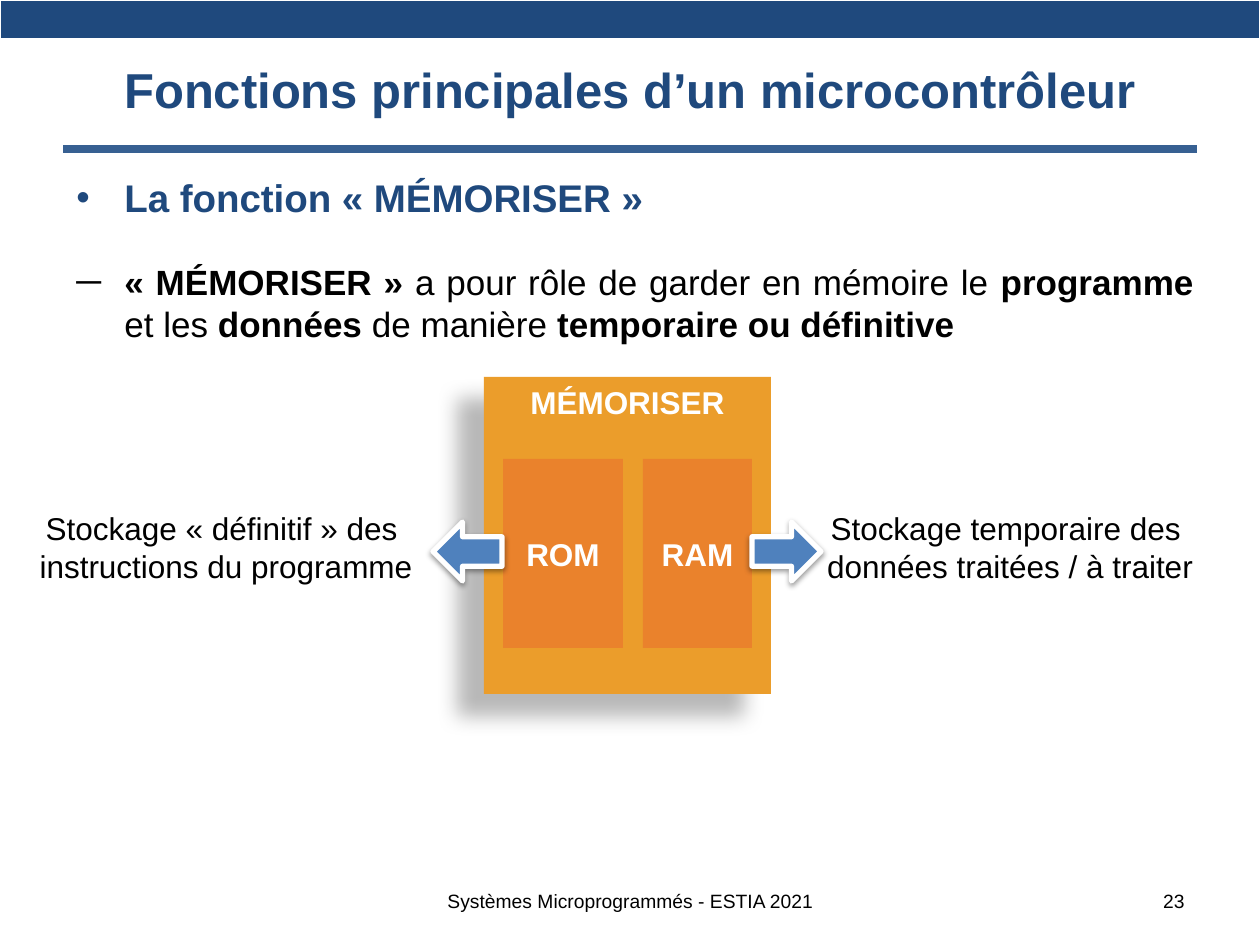
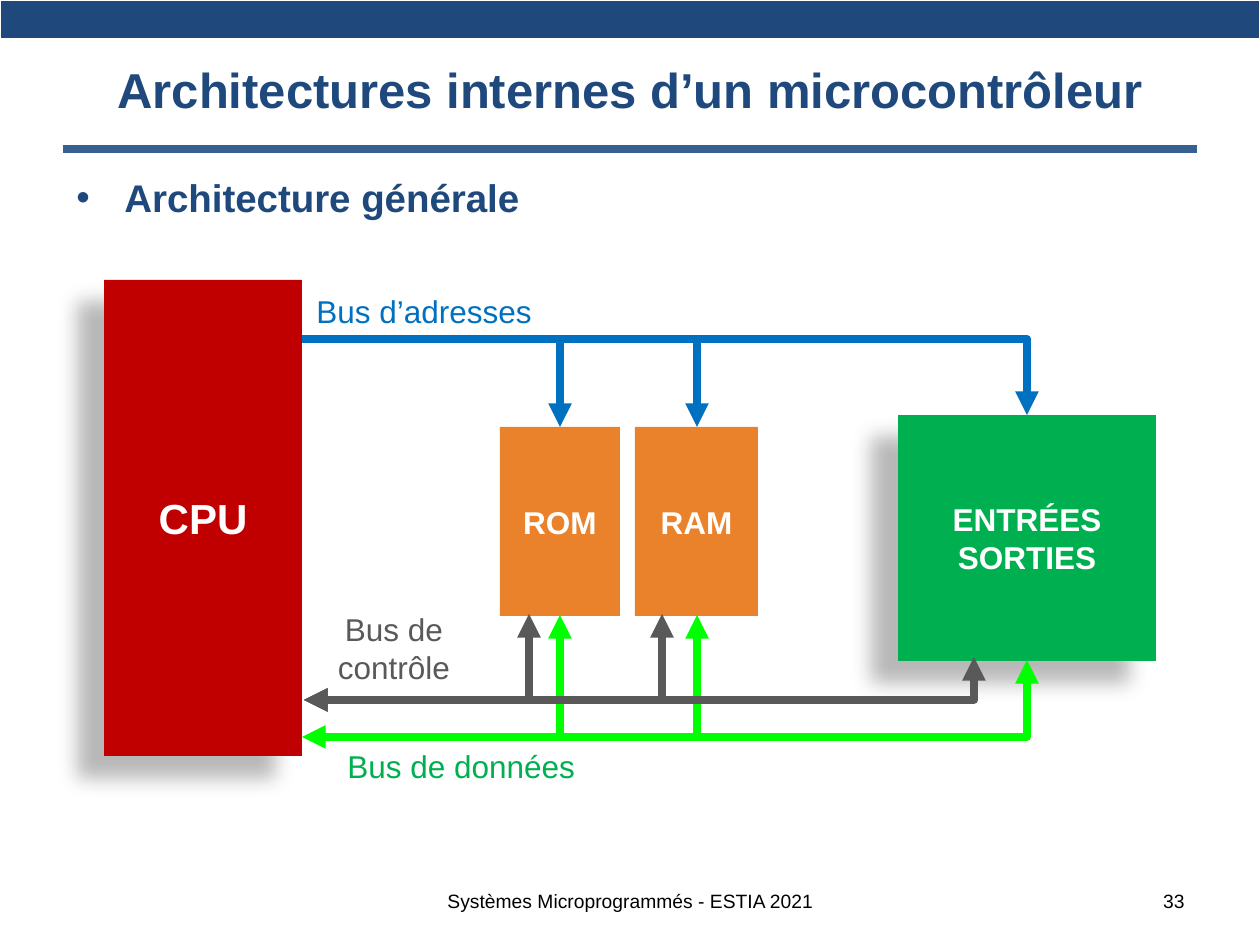
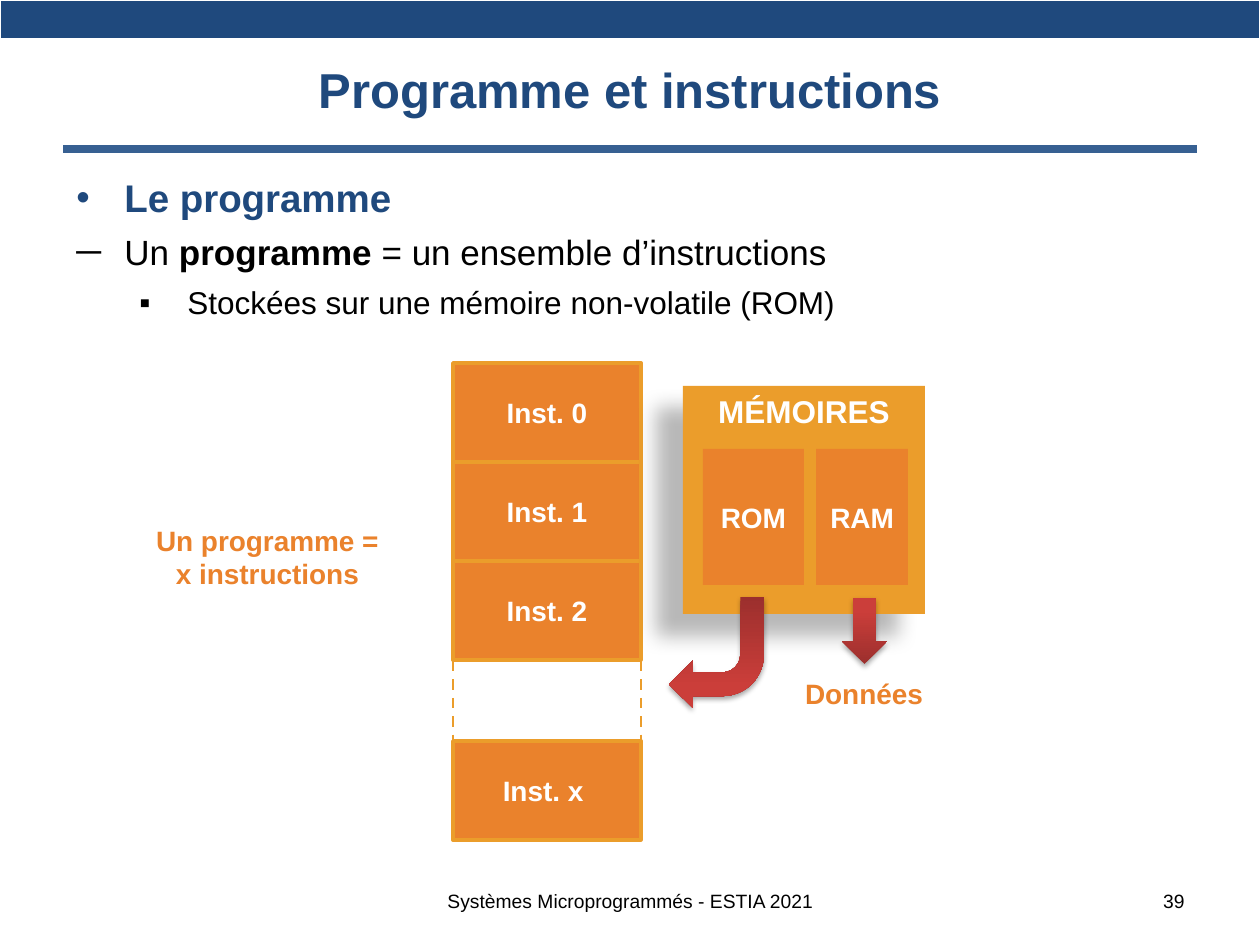
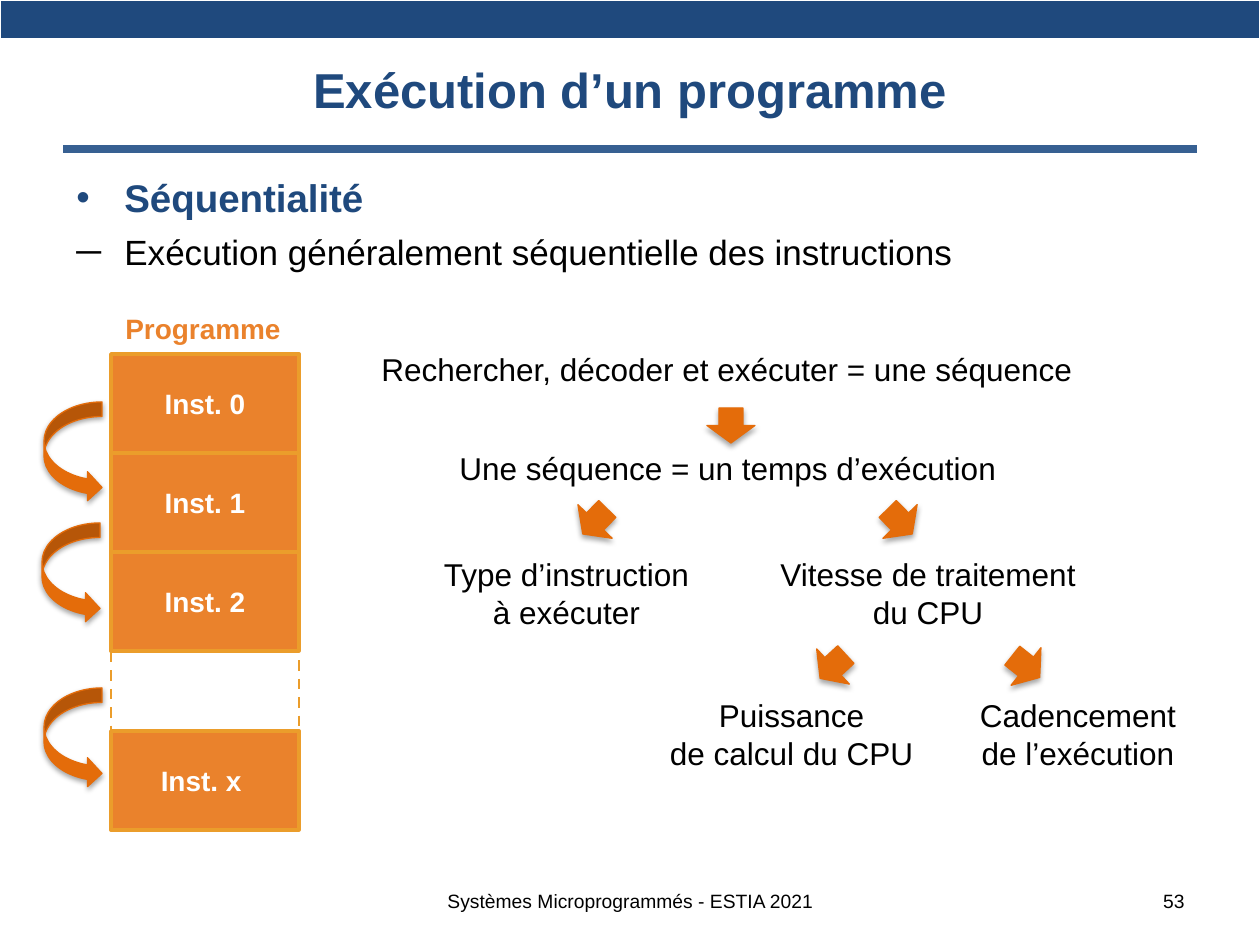
import lxml.etree
import pptx
import pptx.dml.color
import pptx.enum.dml
import pptx.enum.shapes
import pptx.enum.text
import pptx.oxml.ns
import pptx.util

SCALE = 914400 / 126
FONT = "Arial"
COLORS = {
    "navy": "1F497D", "rule": "376092", "black": "000000", "white": "FFFFFF",
    "amber": "EB9D2B", "orange": "EA822C", "rust": "E46C0A", "steel": "4F81BD",
    "red": "C00000", "green": "00B050", "lime": "00FF00", "blue": "0070C0",
    "gray": "595959", "dark_red": "9C2F2D", "light_red": "CB3E3A",
}
DEEP_SHADOW = (28, 11.8, 19.7, 141)
ARROW_SHADOW = (38, 3.1, 1.6, 90)
SOFT_SHADOW = (35, 3.1, 1.8, 90)
SHAPES = pptx.enum.shapes.MSO_SHAPE
CONNECTORS = pptx.enum.shapes.MSO_CONNECTOR
ALIGN = pptx.enum.text.PP_ALIGN
ANCHOR = pptx.enum.text.MSO_ANCHOR


def px(value):
    """Turn pixels into EMU."""
    return pptx.util.Emu(round(value * SCALE))


def rgb(name):
    """Look up a named colour."""
    return pptx.dml.color.RGBColor.from_string(COLORS[name])


def inside(box, left, top, width, height):
    """Place a part relative to the corner of a box."""
    return box[0] + left, box[1] + top, width, height


def add_node(parent, tag, **attributes):
    """Append an XML element with the given attributes."""
    node = lxml.etree.SubElement(parent, pptx.oxml.ns.qn(tag))
    for name, value in attributes.items():
        node.set(name, str(value))
    return node


def add_span(para, text, size, color, bold=False):
    """Append one run to a paragraph."""
    span = para.add_run()
    span.text = text
    span.font.name = FONT
    span.font.size = pptx.util.Pt(size)
    span.font.bold = bold
    span.font.color.rgb = rgb(color)


def write_lines(frame, lines, size, color, bold=False, align=ALIGN.CENTER, anchor=ANCHOR.MIDDLE):
    """Fill a text frame with one paragraph for each line."""
    frame.vertical_anchor = anchor
    for index, line in enumerate(lines):
        para = frame.add_paragraph() if index else frame.paragraphs[0]
        para.alignment = align
        add_span(para, line, size, color, bold)


def add_label(page, box, lines, size=18, color="black", bold=False, align=ALIGN.CENTER,
              anchor=ANCHOR.TOP, wrap=False):
    """Add a text box."""
    frame = page.shapes.add_textbox(*map(px, box)).text_frame
    frame.word_wrap = wrap
    write_lines(frame, lines, size, color, bold, align, anchor)


def add_shadow(shape, opacity, blur, distance, angle):
    """Give a shape an outer shadow."""
    effects = shape._element.spPr.find(pptx.oxml.ns.qn("a:effectLst"))
    shadow = add_node(effects, "a:outerShdw", blurRad=round(blur * 12700),
                      dist=round(distance * 12700), dir=angle * 60000, rotWithShape=0)
    tint = add_node(shadow, "a:srgbClr", val=COLORS["black"])
    add_node(tint, "a:alpha", val=opacity * 1000)


def add_figure(page, kind, box, fill, line=None, weight=0.75, shadow=None, rotation=0):
    """Add a preset shape with a plain fill."""
    shape = page.shapes.add_shape(kind, *map(px, box))
    shape.rotation = rotation
    shape.fill.solid()
    shape.fill.fore_color.rgb = rgb(fill)
    if line:
        shape.line.color.rgb = rgb(line)
        shape.line.width = pptx.util.Pt(weight)
    else:
        shape.line.fill.background()
    shape.shadow.inherit = False
    if shadow:
        add_shadow(shape, *shadow)
    return shape


def add_block(page, box, lines, fill, size=18, anchor=ANCHOR.MIDDLE, **style):
    """Add a rectangle with bold white text."""
    shape = add_figure(page, SHAPES.RECTANGLE, box, fill, **style)
    write_lines(shape.text_frame, lines, size, "white", True, anchor=anchor)


def add_line(page, kind, start, end, color, weight):
    """Add a connector without shadow."""
    line = page.shapes.add_connector(kind, *map(px, start + end))
    line.line.color.rgb = rgb(color)
    line.line.width = pptx.util.Pt(weight)
    add_node(line._element.spPr, "a:effectLst")
    return line


def add_branch(page, start, end, color, two_way):
    """Add a bus branch that runs across, then up or down to an arrowhead."""
    branch = add_line(page, CONNECTORS.ELBOW, start, end, color, 4.5)
    branch._element.spPr.find(pptx.oxml.ns.qn("a:prstGeom")).set("prst", "bentConnector2")
    outline = branch.line._get_or_add_ln()
    add_node(outline, "a:round")
    if two_way:
        add_node(outline, "a:headEnd", type="triangle")
    add_node(outline, "a:tailEnd", type="triangle")


def add_red_arrow(page, kind, box, rotation=0):
    """Add an arrow shaded from dark to light red."""
    arrow = add_figure(page, kind, box, "light_red", shadow=SOFT_SHADOW, rotation=rotation)
    arrow.fill.gradient()
    arrow.fill.gradient_angle = 90
    dark, light = arrow.fill.gradient_stops
    dark.color.rgb = rgb("dark_red")
    light.color.rgb = rgb("light_red")
    light.position = 0.8


def add_frame(page, box, title, number):
    """Add the band, title, rule and footer of a page."""
    band = page.shapes.add_table(1, 1, *map(px, inside(box, 0, 0, box[2], 39))).table
    cell = band.cell(0, 0)
    cell.fill.solid()
    cell.fill.fore_color.rgb = rgb("navy")
    cell.margin_top = cell.margin_bottom = 0
    cell.text_frame.paragraphs[0].font.size = pptx.util.Pt(10)
    add_line(page, CONNECTORS.STRAIGHT, (box[0] + 63, box[1] + 149),
             (box[0] + 1197, box[1] + 149), "rule", 4.5)
    add_label(page, inside(box, 63, 21, 1134, 136), [title], 28, "navy", True,
              anchor=ANCHOR.MIDDLE, wrap=True)
    add_label(page, inside(box, 357, 876, 547, 50), ["Systèmes Microprogrammés - ESTIA 2021"],
              11, anchor=ANCHOR.MIDDLE, wrap=True)
    add_label(page, inside(box, 903, 876, 294, 50), [number], 11, align=ALIGN.RIGHT,
              anchor=ANCHOR.MIDDLE, wrap=True)


def add_bullet(para, mark, margin, color):
    """Give a paragraph a hanging bullet."""
    properties = para._p.get_or_add_pPr()
    properties.set("marL", str(px(margin)))
    properties.set("indent", str(-px(48)))
    add_node(add_node(properties, "a:buClr"), "a:srgbClr", val=COLORS[color])
    add_node(properties, "a:buFont", typeface=FONT)
    add_node(properties, "a:buChar", char=mark)


def add_outline(page, box, heading, points=(), gap=6):
    """Add the heading and its points, each a mark, margin, size and runs."""
    frame = page.shapes.add_textbox(*map(px, box)).text_frame
    frame.word_wrap = True
    para = frame.paragraphs[0]
    add_bullet(para, "•", 48, "navy")
    add_span(para, heading, 22, "navy", True)
    for mark, margin, size, spans in points:
        para = frame.add_paragraph()
        add_bullet(para, mark, margin, "black")
        para.alignment = ALIGN.JUSTIFY
        para.space_before = pptx.util.Pt(gap)
        for text, bold in spans:
            add_span(para, text, size, "black", bold)


def add_memory(page, box, title, rom, ram, size):
    """Add a memory block holding ROM and RAM."""
    add_block(page, box, [title], "amber", anchor=ANCHOR.TOP, shadow=DEEP_SHADOW)
    for name, part in (("ROM", rom), ("RAM", ram)):
        add_block(page, inside(box, *part), [name], "orange", size)


def add_instructions(page, box, dash_tops):
    """Add the stack of instructions with its dashed gap."""
    left, top, width, height = box
    row = 99
    offsets = [0, row, 2 * row, height - row]
    for name, offset in zip(("0", "1", "2", "x "), offsets):
        add_block(page, inside(box, 0, offset, width, row), ["Inst. " + name], "orange", 16,
                  line="amber", weight=2)
    for side, dash_top in zip((left, left + width), dash_tops):
        dash = add_line(page, CONNECTORS.STRAIGHT, (side, top + dash_top),
                        (side, top + dash_top + 106), "amber", 1.5)
        dash.line.dash_style = pptx.enum.dml.MSO_LINE.DASH


def add_storage(page, box):
    """Draw the memory with the role of each part."""
    add_label(page, inside(box, 0, 126, 402, 89),
              ["Stockage « définitif » des ", "instructions du programme"])
    add_label(page, inside(box, 788, 126, 394, 89),
              ["Stockage temporaire des ", "données traitées / à traiter"])
    add_memory(page, inside(box, 459, 0, 287, 317), "MÉMORISER",
               (19, 82, 120, 189), (159, 82, 109, 189), 18)
    for left, rotation in ((408, 180), (727, 0)):
        add_figure(page, SHAPES.RIGHT_ARROW, inside(box, left, 145, 69, 59), "steel",
                   "white", 3, ARROW_SHADOW, rotation)


def add_architecture(page, box):
    """Draw the processor, memories, ports and buses."""
    add_block(page, inside(box, 0, 0, 198, 476), ["CPU"], "red", 24, shadow=DEEP_SHADOW)
    add_block(page, inside(box, 396, 147, 120, 189), ["ROM"], "orange")
    add_block(page, inside(box, 531, 147, 123, 189), ["RAM"], "orange")
    add_block(page, inside(box, 794, 135, 258, 246), ["ENTRÉES", "SORTIES"], "green",
              shadow=DEEP_SHADOW)
    buses = (
        ("blue", 59, ((198, 456, 147, False), (456, 923, 135, False), (411, 593, 147, False))),
        ("lime", 457, ((217, 456, 335, False), (471, 923, 380, False), (198, 593, 335, True))),
        ("gray", 420, ((200, 425, 334, True), (200, 870, 377, True), (200, 558, 334, True))),
    )
    for color, level, branches in buses:
        for start, end, target, two_way in branches:
            add_branch(page, (box[0] + start, box[1] + level),
                       (box[0] + end, box[1] + target), color, two_way)
    add_label(page, inside(box, 200, 6, 302, 50), ["Bus d’adresses"], color="blue",
              align=ALIGN.LEFT, wrap=True)
    add_label(page, inside(box, 203, 324, 174, 89), ["Bus de contrôle"], color="gray", wrap=True)
    add_label(page, inside(box, 231, 461, 256, 50), ["Bus de données"], color="green",
              align=ALIGN.LEFT)


def add_program(page, box):
    """Draw the program and the memories it goes with."""
    add_instructions(page, inside(box, 311, 0, 188, 477), (298, 298))
    add_label(page, inside(box, 0, 154, 251, 81), ["Un programme =", "x instructions"],
              16, "orange", True)
    add_memory(page, inside(box, 541, 23, 242, 228), "MÉMOIRES",
               (20, 63, 101, 136), (133, 63, 92, 136), 16)
    add_red_arrow(page, SHAPES.BENT_ARROW, inside(box, 527, 234, 95, 111), 180)
    add_red_arrow(page, SHAPES.DOWN_ARROW, inside(box, 700, 235, 45, 66))
    add_label(page, inside(box, 599, 307, 246, 47), ["Données"], 16, "orange", True, wrap=True)


def add_sequence(page, box):
    """Draw the instruction steps and what their duration depends on."""
    add_instructions(page, inside(box, 69, 49, 188, 476), (298, 288))
    add_label(page, inside(box, 71, 0, 183, 47), ["Programme"], 16, "orange", True, ALIGN.LEFT)
    for left, top in ((2, 97), (0, 218), (2, 383)):
        add_figure(page, SHAPES.CURVED_RIGHT_ARROW, inside(box, left, top, 58, 100), "rust",
                   "rust", shadow=SOFT_SHADOW)
    for left, top, width, text in (
        (327, 39, 722, "Rechercher, décoder et exécuter = une séquence"),
        (405, 138, 567, "Une séquence = un temps d’exécution"),
    ):
        add_label(page, inside(box, left, top, width, 50), [text], align=ALIGN.LEFT)
    for left, top, width, lines in (
        (388, 244, 273, ["Type d’instruction", "à exécuter"]),
        (724, 244, 324, ["Vitesse de traitement", "du CPU"]),
        (614, 385, 271, ["Puissance", "de calcul du CPU"]),
    ):
        add_label(page, inside(box, left, top, width, 89), lines)
    add_label(page, inside(box, 908, 385, 256, 89), ["Cadencement de l’exécution"], wrap=True)
    for left, top, rotation in ((665, 103, 0), (529, 199, 44.5), (834, 199, 315.5),
                                (767, 344, 47.2), (960, 344, 308.5)):
        add_figure(page, SHAPES.DOWN_ARROW, inside(box, left, top, 48, 35), "rust", "rust",
                   shadow=SOFT_SHADOW, rotation=rotation)


def main():
    """Build and save the deck."""
    deck = pptx.Presentation()
    deck.slide_width, deck.slide_height = px(1260), px(945)

    def add_page(title, number):
        """Add a blank page with the shared frame."""
        page = deck.slides.add_slide(deck.slide_layouts[6])
        add_frame(page, (0, 0, 1260, 945), title, number)
        return page

    page = add_page("Fonctions principales d’un microcontrôleur", "23")
    add_outline(page, (64, 168, 1142, 692), "La fonction « MÉMORISER »", [
        ("─", 48, 20, [
            ("« MÉMORISER » ", True), ("a pour rôle de garder en mémoire le ", False),
            ("programme", True), (" et les ", False), ("données", True),
            (" de manière ", False), ("temporaire ou définitive", True)]),
    ], gap=23)
    add_storage(page, (25, 377, 1182, 317))

    page = add_page("Architectures internes d’un microcontrôleur", "33")
    add_outline(page, (64, 168, 1142, 126), "Architecture générale")
    add_architecture(page, (104, 280, 1052, 511))

    page = add_page("Programme et instructions", "39")
    add_outline(page, (64, 168, 1142, 692), "Le programme", [
        ("─", 48, 20, [("Un ", False), ("programme", True),
                       (" = un ensemble d’instructions", False)]),
        ("▪", 111, 18, [("Stockées sur une mémoire non-volatile (ROM)", False)]),
    ])
    add_program(page, (142, 363, 845, 477))

    page = add_page("Exécution d’un programme", "53")
    add_outline(page, (64, 168, 1133, 178), "Séquentialité", [
        ("─", 48, 20, [("Exécution généralement séquentielle des instructions", False)]),
    ])
    add_sequence(page, (42, 305, 1164, 525))
    deck.save("out.pptx")


if __name__ == "__main__":
    main()
